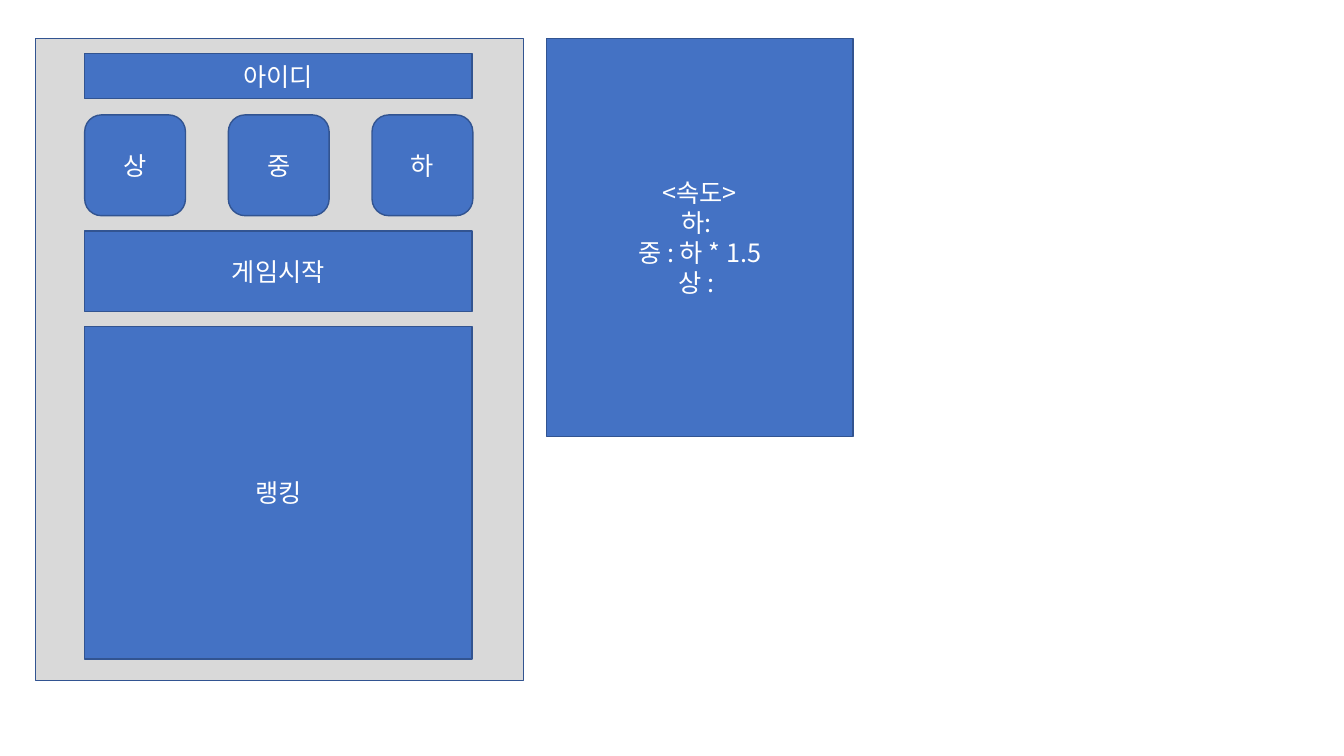
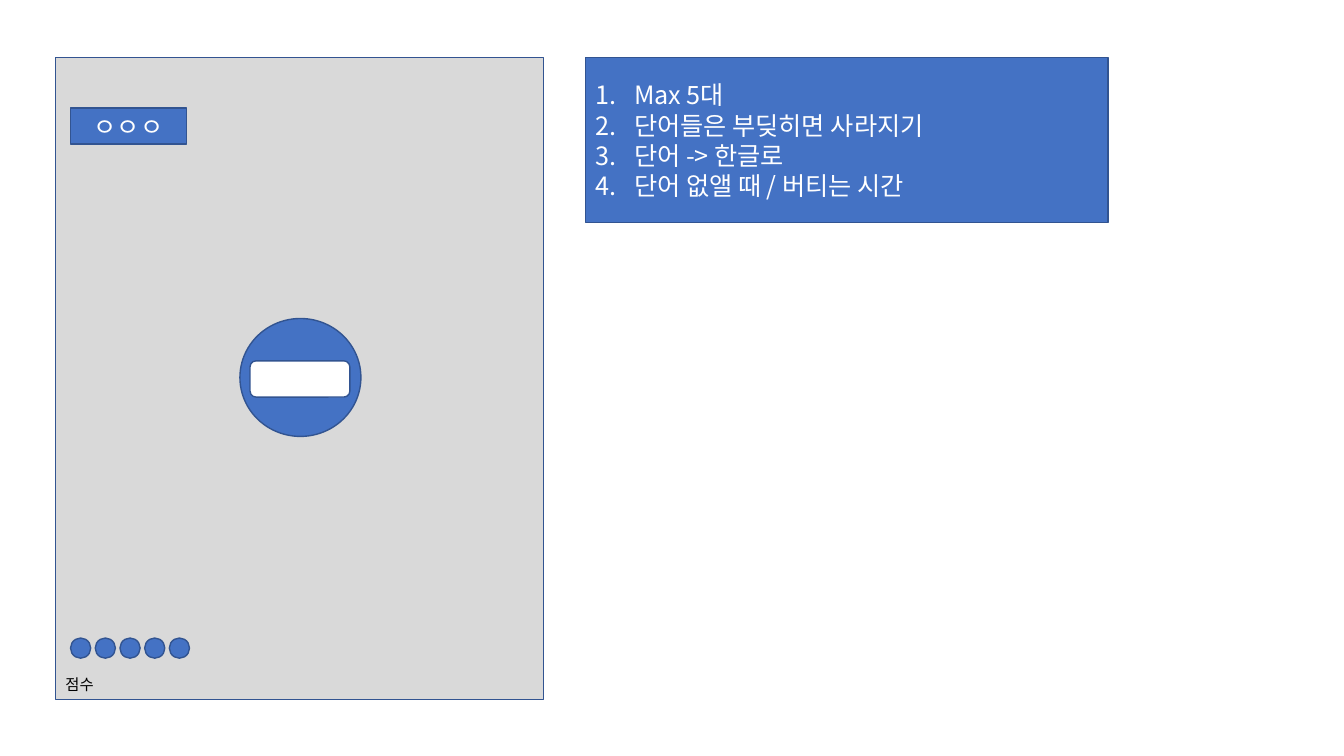
"""Build two wireframe slides for a word game: the start screen and the play screen."""
from lxml import etree
from pptx import Presentation
from pptx import util as u
from pptx.dml.color import RGBColor
from pptx.enum import shapes, text
from pptx.oxml import ns

BLUE = RGBColor(0x44, 0x72, 0xC4)
EDGE = RGBColor(0x32, 0x54, 0x91)
GREY = RGBColor(0xD9, 0xD9, 0xD9)
WHITE = RGBColor(0xFF, 0xFF, 0xFF)
BLACK = RGBColor(0x00, 0x00, 0x00)
FONT = "Noto Sans CJK KR"
CELL = u.Inches(0.1)
RECT = shapes.MSO_SHAPE.RECTANGLE
ROUND = shapes.MSO_SHAPE.ROUNDED_RECTANGLE
OVAL = shapes.MSO_SHAPE.OVAL


def write(frame, lines, size=18, color=WHITE, align=text.PP_ALIGN.CENTER, numbered=False):
    """Fill a text frame with one formatted paragraph per line."""
    frame.word_wrap = True
    for index, line in enumerate(lines):
        para = frame.paragraphs[0] if index == 0 else frame.add_paragraph()
        para.alignment = align
        span = para.add_run()
        span.text = line
        span.font.size = u.Pt(size)
        span.font.color.rgb = color
        span.font.name = FONT
        etree.SubElement(span.font._element, ns.qn("a:ea"), typeface=FONT)
        if numbered:
            props = para._p.get_or_add_pPr()
            indent = u.Inches(0.38)
            props.set("marL", str(indent))
            props.set("indent", str(-indent))
            etree.SubElement(props, ns.qn("a:buFont"), typeface="+mj-lt")
            etree.SubElement(props, ns.qn("a:buAutoNum"), type="arabicPeriod")


class Wireframe:
    """Hold the deck, its style and the current page; lengths are grid columns and rows."""

    def __init__(self):
        self.deck = Presentation()
        self.deck.slide_width = u.Inches(13.33)
        self.deck.slide_height = u.Inches(7.5)
        self.page = None

    def new_page(self):
        """Start a blank page."""
        self.page = self.deck.slides.add_slide(self.deck.slide_layouts[6])

    def place(self, *lengths):
        """Turn grid lengths into slide lengths."""
        return [u.Emu(round(length * CELL)) for length in lengths]

    def block(self, column, row, width, height, *lines, kind=RECT, fill=BLUE, **style):
        """Add an outlined shape, with centred text if lines are given."""
        box = self.page.shapes.add_shape(kind, *self.place(column, row, width, height))
        box.shadow.inherit = False
        box.fill.solid()
        box.fill.fore_color.rgb = fill
        box.line.color.rgb = EDGE
        box.line.width = u.Pt(1)
        box.text_frame.vertical_anchor = text.MSO_ANCHOR.MIDDLE
        write(box.text_frame, lines, **style)

    def screen(self, column, row):
        """Add the grey game screen."""
        self.block(column, row, 48.4, 63.7, fill=GREY)

    def label(self, column, row, width, height, line, **style):
        """Add a plain text box."""
        box = self.page.shapes.add_textbox(*self.place(column, row, width, height))
        write(box.text_frame, [line], **style)
        box.text_frame.auto_size = text.MSO_AUTO_SIZE.SHAPE_TO_FIT_TEXT


def start_page(frame):
    """Draw the start screen with its speed note."""
    frame.new_page()
    frame.screen(3.5, 3.8)
    for index, level in enumerate("상중하"):
        frame.block(8.4 + index * 14.25, 11.4, 10, 10, level, kind=ROUND)
    for row, height, name in ((22.9, 8, "게임시작"), (32.4, 33, "랭킹"), (5.3, 4.5, "아이디")):
        frame.block(8.4, row, 38.4, height, name)
    frame.block(54.2, 3.8, 30.4, 39.5, "<속도>", "하: ", "중 : 하 * 1.5", "상 : ")


def play_page(frame):
    """Draw the play screen with its rules."""
    frame.new_page()
    frame.screen(5.5, 5.7)
    frame.block(7, 10.7, 11.5, 3.6, "ㅇㅇㅇ")
    frame.block(23.8, 31.6, 12, 11.7, kind=OVAL)
    frame.label(5.5, 66.5, 36, 2.9, "점수", size=11, color=BLACK, align=text.PP_ALIGN.LEFT)
    frame.block(58.1, 5.7, 51.8, 16.4, "Max 5대", "단어들은 부딪히면 사라지기",
                "단어 -> 한글로", "단어 없앨 때 / 버티는 시간",
                align=text.PP_ALIGN.LEFT, numbered=True)
    for index in range(5):
        frame.block(7 + index * 2.45, 63.3, 2, 2, kind=OVAL)
    frame.block(24.8, 35.8, 9.9, 3.6, kind=ROUND, fill=WHITE)


def main():
    """Build and save the deck."""
    frame = Wireframe()
    start_page(frame)
    play_page(frame)
    frame.deck.save("out.pptx")


if __name__ == "__main__":
    main()
